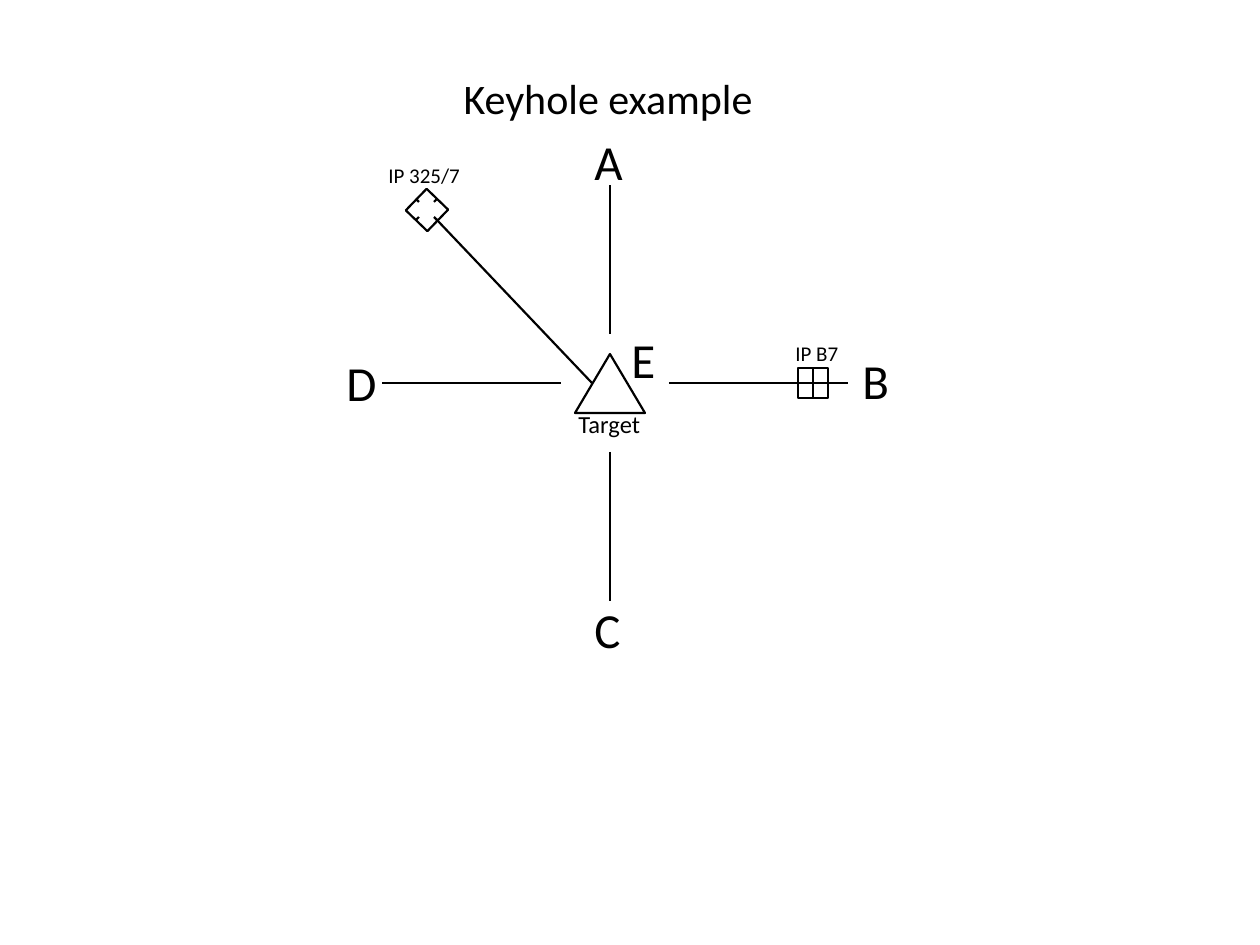
import pptx
import pptx.util
import pptx.dml.color
import pptx.enum.shapes
import pptx.enum.text
import pptx.oxml.ns
import lxml.etree

PX = 914400 // 126
COLORS = {"ink": "000000", "paper": "FFFFFF"}
SHAPE = pptx.enum.shapes.MSO_SHAPE


class Diagram:
    font = "Calibri"
    line_width = 1.25

    def __init__(self, prs, layout):
        self.slide = prs.slides.add_slide(prs.slide_layouts[layout])

    def color(self, name):
        return pptx.dml.color.RGBColor.from_string(COLORS[name])

    def box(self, *lengths):
        return [pptx.util.Emu(n * PX) for n in lengths]

    def stroke(self, sp):
        sp.line.color.rgb = self.color("ink")
        sp.line.width = pptx.util.Pt(self.line_width)

    def set_text(self, sp, text, size):
        tf = sp.text_frame
        tf.word_wrap = True
        tf.vertical_anchor = pptx.enum.text.MSO_ANCHOR.TOP
        tf.text = text
        p = tf.paragraphs[0]
        p.alignment = pptx.enum.text.PP_ALIGN.LEFT
        r = p.runs[0]
        r.font.name = self.font
        r.font.size = pptx.util.Pt(size)
        r.font.color.rgb = self.color("ink")

    def title(self, text, x, y, w, h, size):
        sp = self.slide.shapes.title
        sp.left, sp.top, sp.width, sp.height = self.box(x, y, w, h)
        self.set_text(sp, text, size)

    def label(self, text, x, y, w, h, size):
        sp = self.slide.shapes.add_textbox(*self.box(x, y, w, h))
        self.set_text(sp, text, size)

    def group(self):
        return self.slide.shapes.add_group_shape()

    def shape(self, kind, x, y, w, h, rotation=0, fill=None, outline=True, group=None):
        sp = (group or self.slide).shapes.add_shape(kind, *self.box(x, y, w, h))
        sp.shadow.inherit = False
        sp.rotation = rotation
        if fill:
            sp.fill.solid()
            sp.fill.fore_color.rgb = self.color(fill)
        else:
            sp.fill.background()
        if outline:
            self.stroke(sp)
        else:
            sp.line.fill.background()
        return sp

    def line(self, x1, y1, x2, y2, group=None):
        cx = (group or self.slide).shapes.add_connector(
            pptx.enum.shapes.MSO_CONNECTOR.STRAIGHT, *self.box(x1, y1, x2, y2))
        self.stroke(cx)
        lxml.etree.SubElement(cx._element.spPr, pptx.oxml.ns.qn("a:effectLst"))
        return cx


def main():
    prs = pptx.Presentation()
    prs.slide_width = pptx.util.Inches(10)
    prs.slide_height = pptx.util.Inches(7.5)
    d = Diagram(prs, 5)

    d.title("Keyhole example", 451, 66, 318, 63, 24)

    cx, cy = 610, 383
    d.shape(SHAPE.ISOSCELES_TRIANGLE, cx - 35, cy - 29, 70, 59)
    d.label("Target", 566, 403, 118, 43, 14)

    for near, far in ((59, 238), (-49, -228)):
        d.line(cx + near, cy, cx + far, cy)
    for near, far in ((-49, -198), (69, 218)):
        d.line(cx, cy + near, cx, cy + far)

    for letter, x, y in (("A", 582, 125), ("B", 850, 344), ("C", 582, 593),
                         ("D", 334, 346), ("E", 619, 323)):
        d.label(letter, x, y, 128, 72, 28)

    crossed_square = d.group()
    square = d.shape(SHAPE.RECTANGLE, 798, cy - 15, 30, 30, group=crossed_square)
    for begin, end in ((0, 2), (1, 3)):
        cross = d.line(798, cy, 828, cy, group=crossed_square)
        cross.begin_connect(square, begin)
        cross.end_connect(square, end)

    diamond = d.group()
    d.shape(SHAPE.RECTANGLE, 412, 195, 30, 30, rotation=44, group=diamond)
    d.line(437, 199, 416, 220, group=diamond)
    d.line(416, 199, 437, 220, group=diamond)
    d.shape(SHAPE.RECTANGLE, 416, 199, 21, 21, rotation=44, fill="paper",
            outline=False, group=diamond)
    d.line(436, 219, 592, cy)

    for name, x, y in (("IP B7", 783, 334), ("IP 325/7", 376, 156)):
        d.label(name, x, y, 238, 38, 12)

    prs.save("out.pptx")


if __name__ == "__main__":
    main()
